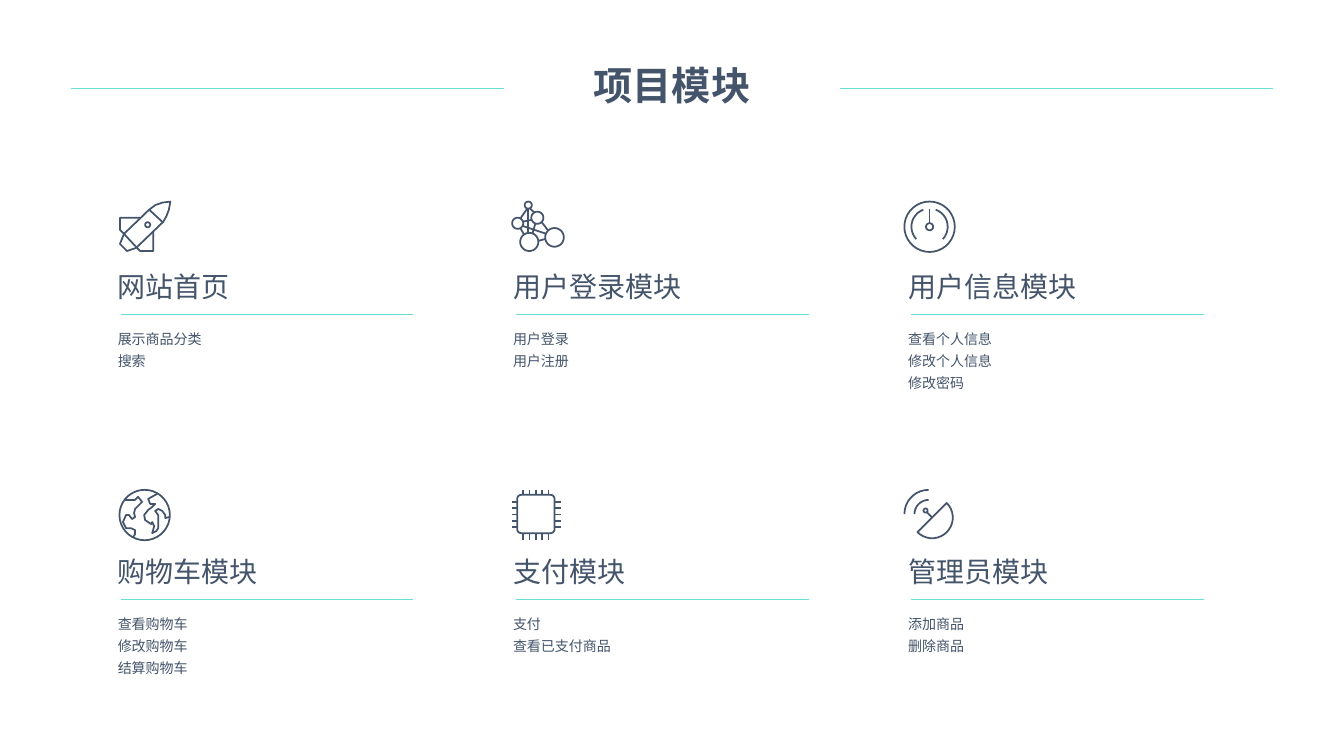
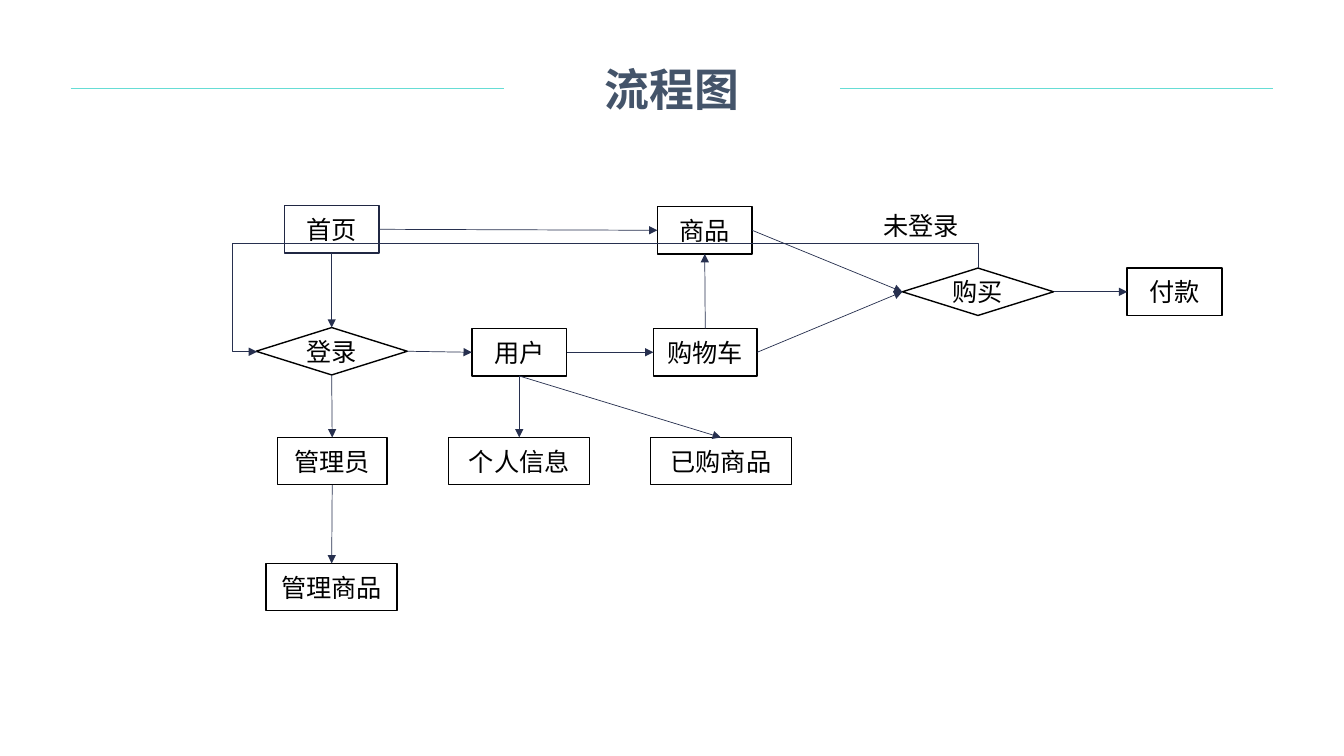
from math import cos, radians, sin

from lxml import etree
from pptx import Presentation
from pptx.dml.color import RGBColor
from pptx.enum.shapes import MSO_CONNECTOR, MSO_SHAPE
from pptx.enum.text import MSO_ANCHOR, PP_ALIGN
from pptx.oxml.ns import qn
from pptx.util import Inches, Pt

STRAIGHT, ELBOW = MSO_CONNECTOR.STRAIGHT, MSO_CONNECTOR.ELBOW
RECT, DIAMOND = MSO_SHAPE.RECTANGLE, MSO_SHAPE.DIAMOND
LEFT, CENTER = PP_ALIGN.LEFT, PP_ALIGN.CENTER
MIDDLE = MSO_ANCHOR.MIDDLE
TOP_SIDE, LEFT_SIDE, BOTTOM_SIDE, RIGHT_SIDE = range(4)

FONT = "Noto Sans CJK SC"
SLATE = RGBColor(0x44, 0x54, 0x6A)
TEAL = RGBColor(0x66, 0xDD, 0xD5)
NAVY = RGBColor(0x20, 0x27, 0x43)
ARROW = RGBColor(0x27, 0x30, 0x4F)
BLACK = RGBColor(0, 0, 0)
WHITE = RGBColor(0xFF, 0xFF, 0xFF)


def arc(cx, cy, r, start=0, end=360):
    """Points along an arc, angles in degrees clockwise from the right."""
    steps = max(6, int((end - start) / 10))
    angles = [radians(start + (end - start) * i / steps) for i in range(steps + 1)]
    return [(cx + r * cos(a), cy + r * sin(a)) for a in angles]


# Icon outlines, in hundredths of an inch
ROCKET = [
    [(50, 0), (48.5, 8.2), (46.1, 14.5), (43, 20), (16, 46), (7, 49), (0, 42),
     (4, 32), (29, 8), (35.2, 3.4), (42.1, 1), (50, 0)],
    [(29, 8), (43, 21)],
    [(20, 16), (0, 16), (0, 28), (4, 32)],
    [(4, 32), (17, 46), (20, 49), (33, 49), (33, 30)],
    arc(27.5, 23, 2.5),
]
MOLECULE = [
    arc(16, 3.5, 3.5), arc(5.5, 21.5, 5.5), arc(17, 40, 9),
    arc(25, 16, 6), arc(42, 35.5, 9.25),
    [(33, 37), (26, 39)], [(10, 20), (20, 18)], [(20, 32), (23, 22)],
    [(12, 33), (8, 26)], [(34, 32), (10, 24)], [(15, 7), (8, 17)],
    [(36, 29), (29, 20)], [(16, 31), (16, 7)], [(18, 7), (22, 11)],
]
GAUGE = [
    arc(25, 25, 25), arc(25, 25, 3.5), arc(25, 25, 18, -70, 43),
    arc(25, 25, 18, 137, 250), [(25, 7), (25, 21)],
]
GLOBE = [
    arc(24.5, 25, 25),
    [(13, 47), (15, 44), (15, 40), (11, 38), (6, 38), (3, 32), (6, 25), (9, 25),
     (12, 29), (15, 27), (14, 23), (15, 19), (22, 12), (18, 7), (15, 10), (5, 10)],
    [(37, 4), (28, 9), (30, 14), (35, 14), (32, 17), (28, 20), (24, 25), (25, 30),
     (31, 34), (32, 32), (34, 36), (32, 43), (36, 41), (38, 38), (38, 25), (35, 21),
     (38, 19), (42, 21), (45, 25), (45, 28), (49, 27)],
]
CHIP = [
    arc(9, 9, 4, 180, 270) + arc(38, 9, 4, 270, 360) + arc(38, 39, 4, 0, 90)
    + arc(9, 39, 4, 90, 180) + [(5, 9)],
]
for pin in (11, 17.25, 23.5, 29.75, 36):
    CHIP += [[(pin, 0), (pin, 5)], [(pin, 43), (pin, 50)],
             [(0, pin + 1), (5, pin + 1)], [(42, pin + 1), (48, pin + 1)]]
DISH = [
    arc(21, 20.5, 2), [(27, 27), (22, 22)], arc(24, 24, 14, 180, 270),
    arc(24, 24, 24, 180, 270), arc(27.5, 27.5, 20.5, -45, 135) + [(42, 13)],
]

MODULES = [
    ("网站首页", ROCKET, ["展示商品分类", "搜索"]),
    ("用户登录模块", MOLECULE, ["用户登录", "用户注册"]),
    ("用户信息模块", GAUGE, ["查看个人信息", "修改个人信息", "修改密码"]),
    ("购物车模块", GLOBE, ["查看购物车", "修改购物车", "结算购物车"]),
    ("支付模块", CHIP, ["支付", "查看已支付商品"]),
    ("管理员模块", DISH, ["添加商品", "删除商品"]),
]

# label, shape, left, top, width, line colour
STEPS = [
    ("首页", RECT, 2.82, 2.04, 0.94, NAVY),
    ("购买", DIAMOND, 8.95, 2.66, 1.5, BLACK),
    ("登录", DIAMOND, 2.54, 3.25, 1.5, BLACK),
    ("商品", RECT, 6.52, 2.05, 0.94, BLACK),
    ("个人信息", RECT, 4.45, 4.34, 1.4, BLACK),
    ("购物车", RECT, 6.48, 3.26, 1.03, BLACK),
    ("管理商品", RECT, 2.64, 5.59, 1.3, BLACK),
    ("用户", RECT, 4.68, 3.26, 0.94, BLACK),
    ("管理员", RECT, 2.75, 4.34, 1.09, BLACK),
    ("付款", RECT, 11.18, 2.66, 0.94, BLACK),
    ("已购商品", RECT, 6.45, 4.34, 1.4, BLACK),
]
STEP_HEIGHT = 0.47

FLOWS = [
    ("首页", BOTTOM_SIDE, "登录", TOP_SIDE),
    ("登录", BOTTOM_SIDE, "管理员", TOP_SIDE),
    ("管理员", BOTTOM_SIDE, "管理商品", TOP_SIDE),
    ("登录", RIGHT_SIDE, "用户", LEFT_SIDE),
    ("用户", BOTTOM_SIDE, "个人信息", TOP_SIDE),
    ("用户", RIGHT_SIDE, "购物车", LEFT_SIDE),
    ("购物车", TOP_SIDE, "商品", BOTTOM_SIDE),
    ("首页", RIGHT_SIDE, "商品", LEFT_SIDE),
    ("购物车", RIGHT_SIDE, "购买", LEFT_SIDE),
    ("商品", RIGHT_SIDE, "购买", LEFT_SIDE),
    ("购买", RIGHT_SIDE, "付款", LEFT_SIDE),
    ("用户", BOTTOM_SIDE, "已购商品", TOP_SIDE),
]


def write(tf, lines, size, color, bold=False, align=LEFT, spacing=None):
    tf.word_wrap = True
    tf.text = "\n".join(lines)
    for p in tf.paragraphs:
        p.alignment = align
        if spacing:
            p.line_spacing = spacing
        for r in p.runs:
            r.font.size = Pt(size)
            r.font.bold = bold
            r.font.color.rgb = color
            r.font.name = FONT
            etree.SubElement(r.font._element, qn("a:ea"), typeface=FONT)


def add_text(s, x, y, w, h, lines, size, color, **style):
    box = s.shapes.add_textbox(Inches(x), Inches(y), Inches(w), Inches(h))
    write(box.text_frame, lines, size, color, **style)


def add_line(s, x1, y1, x2, y2, color, width, kind=STRAIGHT):
    line = s.shapes.add_connector(kind, Inches(x1), Inches(y1), Inches(x2), Inches(y2))
    line.line.color.rgb = color
    line.line.width = Pt(width)
    etree.SubElement(line._element.spPr, qn("a:effectLst"))
    return line


def add_titled_slide(prs, title, size, height):
    s = prs.slides.add_slide(prs.slide_layouts[6])
    for x in (0.7, 8.33):
        add_line(s, x, 0.88, x + 4.3, 0.88, TEAL, 0.5)
    add_text(s, 5, 0.56, 3.33, height, [title], size, SLATE, bold=True, align=CENTER)
    return s


def add_icon(s, strokes, x, y):
    def emu(points):
        return [(Inches(px / 100), Inches(py / 100)) for px, py in points]

    first, *others = [emu(stroke) for stroke in strokes]
    builder = s.shapes.build_freeform(*first[0])
    builder.add_line_segments(first[1:], close=False)
    for stroke in others:
        builder.move_to(*stroke[0])
        builder.add_line_segments(stroke[1:], close=False)
    icon = builder.convert_to_shape(Inches(x), Inches(y))
    icon.shadow.inherit = False
    icon.fill.background()
    icon.line.color.rgb = SLATE
    icon.line.width = Pt(1.25)


def add_step(s, label, kind, x, y, w, color):
    step = s.shapes.add_shape(kind, Inches(x), Inches(y), Inches(w), Inches(STEP_HEIGHT))
    step.shadow.inherit = False
    step.fill.solid()
    step.fill.fore_color.rgb = WHITE
    step.line.color.rgb = color
    step.line.width = Pt(1)
    step.text_frame.vertical_anchor = MIDDLE
    write(step.text_frame, [label], 18, BLACK, align=CENTER)
    return step


def add_flow(s, source, source_side, target, target_side, kind=STRAIGHT):
    flow = add_line(s, 0, 0, 1, 1, ARROW, 0.5, kind)
    flow.begin_connect(source, source_side)
    flow.end_connect(target, target_side)
    etree.SubElement(flow.line._get_or_add_ln(), qn("a:tailEnd"), type="triangle")
    return flow


def bend_around(flow, x, y, w, h, adjustments):
    """Turn an elbow into a four-part one that leaves upwards and comes in from the left."""
    flow.left, flow.top, flow.width, flow.height = map(Inches, (x, y, w, h))
    spPr = flow._element.spPr
    for name, value in (("rot", "16200000"), ("flipH", "1"), ("flipV", "1")):
        spPr.xfrm.set(name, value)
    geometry = spPr.find(qn("a:prstGeom"))
    geometry.set("prst", "bentConnector4")
    guides = geometry.find(qn("a:avLst"))
    for i, value in enumerate(adjustments, 1):
        etree.SubElement(guides, qn("a:gd"), name=f"adj{i}", fmla=f"val {value}")


def build_modules(prs):
    s = add_titled_slide(prs, "项目模块", 28, 0.57)
    for i, (name, icon, features) in enumerate(MODULES):
        row, col = divmod(i, 3)
        x, y = 1.07 + 3.92 * col, 2.62 + 2.83 * row
        add_icon(s, icon, 1.19 + 3.89 * col, 2 + 2.86 * row)
        add_text(s, x, y, 3.17, 0.44, [name], 20, SLATE)
        add_text(s, x, y + 0.56, 3.17, 0.08 + 0.22 * len(features), features, 10, SLATE,
                 spacing=1.3)
        add_line(s, x + 0.13, y + 0.5, x + 3.03, y + 0.5, TEAL, 1)


def build_flowchart(prs):
    s = add_titled_slide(prs, "流程图", 32, 0.64)
    steps = {step[0]: add_step(s, *step) for step in STEPS}
    for source, source_side, target, target_side in FLOWS:
        add_flow(s, steps[source], source_side, steps[target], target_side)
    back = add_flow(s, steps["购买"], TOP_SIDE, steps["登录"], LEFT_SIDE, ELBOW)
    bend_around(back, 5.71, -0.5, 0.83, 7.15, (-30200, 103500))
    add_text(s, 8.66, 2.04, 1.31, 0.4, ["未登录"], 18, BLACK)


def main():
    prs = Presentation()
    prs.slide_width, prs.slide_height = Inches(13.33), Inches(7.5)
    build_modules(prs)
    build_flowchart(prs)
    prs.save("out.pptx")


if __name__ == "__main__":
    main()
